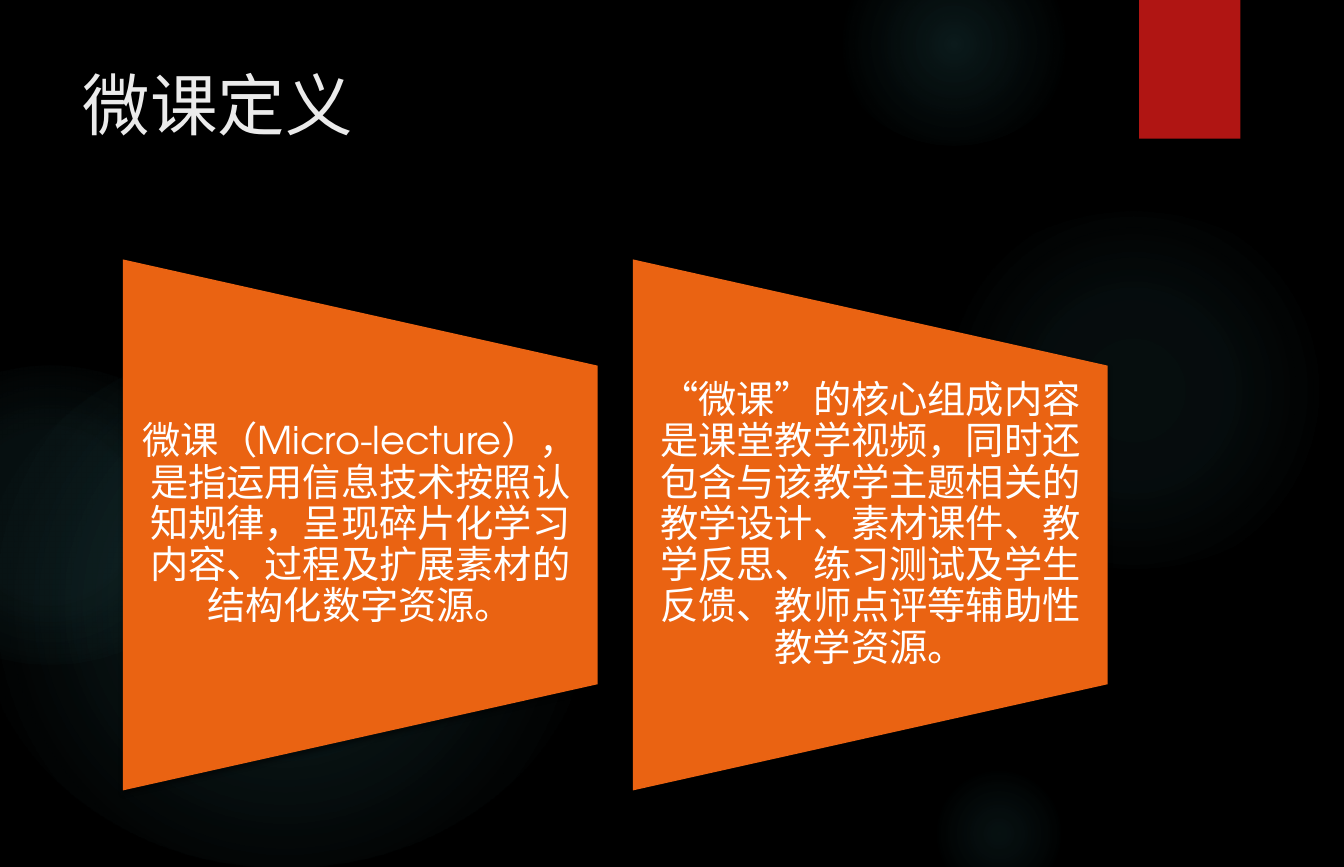
import lxml.etree
import pptx
import pptx.dml.color
import pptx.enum.lang
import pptx.enum.shapes
import pptx.enum.text
import pptx.oxml
import pptx.oxml.ns
import pptx.util

Inches = pptx.util.Inches
RGBColor = pptx.dml.color.RGBColor
SHAPE = pptx.enum.shapes.MSO_SHAPE
ANCHOR = pptx.enum.text.MSO_ANCHOR
qn = pptx.oxml.ns.qn

BLACK = RGBColor(0x00, 0x00, 0x00)
WHITE = RGBColor(0xFF, 0xFF, 0xFF)
PALE = RGBColor(0xEB, 0xEB, 0xEB)
TEAL = RGBColor(0x50, 0xB9, 0xC1)
RED = RGBColor(0xB0, 0x15, 0x13)
ORANGE = RGBColor(0xEA, 0x63, 0x12)

FONT = {"name": "TeX Gyre Adventor",
        "language_id": pptx.enum.lang.MSO_LANGUAGE_ID.SIMPLIFIED_CHINESE}
TITLE_FONT = {**FONT, "size": pptx.util.Pt(44.1)}
BODY_FONT = {**FONT, "size": pptx.util.Pt(25)}
TITLE_FRAME = {"word_wrap": True, "vertical_anchor": ANCHOR.TOP}
BODY_FRAME = {"word_wrap": True, "vertical_anchor": ANCHOR.MIDDLE,
              "margin_left": Inches(0.17), "margin_right": Inches(0.17),
              "margin_top": 0, "margin_bottom": 0}
TITLE_PARAGRAPH = {"alignment": pptx.enum.text.PP_ALIGN.LEFT}
BODY_PARAGRAPH = {"alignment": pptx.enum.text.PP_ALIGN.CENTER, "line_spacing": 0.9}

GLOWS = [
    ((8.41, 1.92, 3.76, 3.24), ((0, 7), (36, 6), (69, 0))),
    ((7.59, -0.52, 2.14, 1.84), ((0, 14), (36, 7), (73, 0))),
    ((8.41, 7, 1.32, 1.14), ((0, 9), (36, 5), (66, 0))),
    ((-0.21, 3.06, 5.59, 4.81), ((0, 11), (36, 10), (75, 0))),
    ((-1.12, 3.32, 3.15, 2.71), ((0, 8), (36, 8), (72, 0))),
]
DEFINITIONS = [
    "微课（Micro-lecture），是指运用信息技术按照认知规律，呈现碎片化学习内容、"
    "过程及扩展素材的结构化数字资源。",
    "“微课”的核心组成内容是课堂教学视频，同时还包含与该教学主题相关的教学设计、"
    "素材课件、教学反思、练习测试及学生反馈、教师点评等辅助性教学资源。",
]
PANEL_LEFT, PANEL_STEP = 0.86, 4.63
PANEL_TOP, PANEL_WIDTH, PANEL_HEIGHT = 2.61, 4.82, 4.31
TEXT_TOP, TEXT_HEIGHT = 3.32, 2.89


def apply_format(obj, values):
    """Set each attribute named in values on obj."""
    for name, value in values.items():
        setattr(obj, name, value)


def add_plain_shape(slide, kind, box):
    """Add a preset shape with no outline and no inherited shadow."""
    sp = slide.shapes.add_shape(kind, *map(Inches, box))
    sp.line.fill.background()
    sp.shadow.inherit = False
    return sp


def add_glow(slide, box, stops):
    """Add an ellipse whose teal fades out from its centre."""
    sp = add_plain_shape(slide, SHAPE.OVAL, box)
    grad = pptx.oxml.parse_xml(
        '<a:gradFill xmlns:a="http://schemas.openxmlformats.org/drawingml/2006/main"'
        ' rotWithShape="1"><a:gsLst/><a:path path="circle">'
        '<a:fillToRect l="50000" t="50000" r="50000" b="50000"/></a:path></a:gradFill>')
    for position, opacity in stops:
        gs = lxml.etree.SubElement(grad[0], qn("a:gs"), pos=str(position * 1000))
        color = lxml.etree.SubElement(gs, qn("a:srgbClr"), val=str(TEAL))
        lxml.etree.SubElement(color, qn("a:alpha"), val=str(opacity * 1000))
    sp._element.spPr.find(qn("a:prstGeom")).addnext(grad)


def add_shadowed_shape(slide, kind, box, color):
    """Add a solid shape with a soft shadow below it."""
    sp = add_plain_shape(slide, kind, box)
    sp.fill.solid()
    sp.fill.fore_color.rgb = color
    effects = sp._element.spPr.find(qn("a:effectLst"))
    shadow = lxml.etree.SubElement(
        effects, qn("a:outerShdw"), blurRad=str(pptx.util.Pt(3)),
        dist=str(pptx.util.Pt(2)), dir="5400000", rotWithShape="0")
    black = lxml.etree.SubElement(shadow, qn("a:srgbClr"), val=str(BLACK))
    lxml.etree.SubElement(black, qn("a:alpha"), val="45000")
    return sp


def write_text(sp, text, frame, paragraph, font, color):
    """Fill a shape with one formatted paragraph."""
    tf = sp.text_frame
    apply_format(tf, frame)
    p = tf.paragraphs[0]
    apply_format(p, paragraph)
    r = p.add_run()
    r.text = text
    apply_format(r.font, font)
    r.font.color.rgb = color


def add_title(slide, text, box):
    """Place and fill the title placeholder."""
    title = slide.shapes.title
    apply_format(title, dict(zip(("left", "top", "width", "height"), map(Inches, box))))
    write_text(title, text, TITLE_FRAME, TITLE_PARAGRAPH, TITLE_FONT, PALE)


def add_panel(slide, left, text):
    """Add a sideways trapezoid with upright text over it."""
    sp = add_shadowed_shape(slide, SHAPE.FLOWCHART_MANUAL_OPERATION,
                            (left, PANEL_TOP, PANEL_WIDTH, PANEL_HEIGHT), ORANGE)
    sp.rotation = 270
    text_left = left + (PANEL_WIDTH - PANEL_HEIGHT) / 2
    box = (text_left, TEXT_TOP, PANEL_HEIGHT, TEXT_HEIGHT)
    label = slide.shapes.add_textbox(*map(Inches, box))
    write_text(label, text, BODY_FRAME, BODY_PARAGRAPH, BODY_FONT, WHITE)


def main():
    """Build the slide and save it."""
    prs = pptx.Presentation()
    prs.slide_width, prs.slide_height = Inches(12.2), Inches(7.87)
    slide = prs.slides.add_slide(prs.slide_layouts.get_by_name("Title Only"))
    slide.background.fill.solid()
    slide.background.fill.fore_color.rgb = BLACK
    for box, stops in GLOWS:
        add_glow(slide, box, stops)
    add_shadowed_shape(slide, SHAPE.RECTANGLE, (10.34, 0, 0.92, 1.26), RED)
    add_title(slide, "微课定义", (0.65, 0.52, 9.42, 1.61))
    for i, text in enumerate(DEFINITIONS):
        add_panel(slide, PANEL_LEFT + i * PANEL_STEP, text)
    prs.save("out.pptx")


if __name__ == "__main__":
    main()
